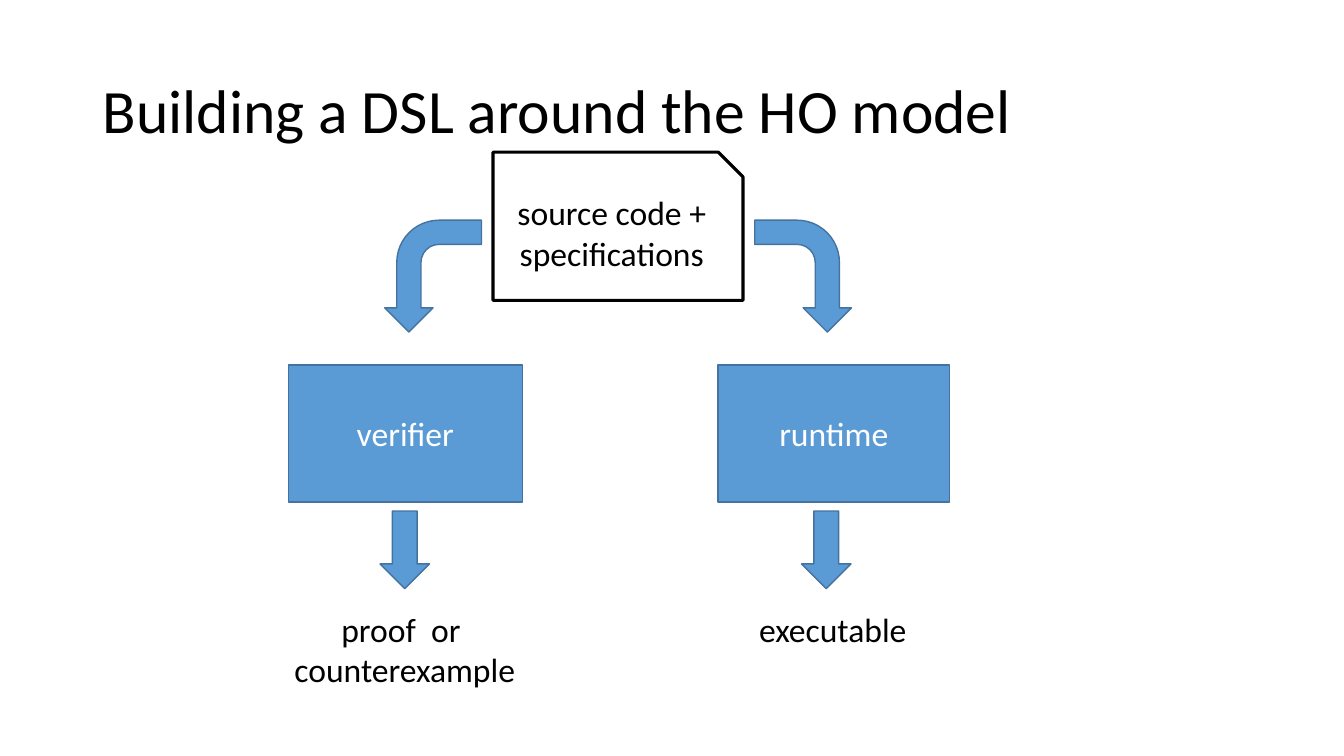
import dataclasses

import pptx
import pptx.dml.color
import pptx.enum.shapes
import pptx.enum.text
import pptx.shapes.autoshape
import pptx.text.text
import pptx.util

Kind = pptx.enum.shapes.MSO_SHAPE
Align = pptx.enum.text.PP_ALIGN
Anchor = pptx.enum.text.MSO_ANCHOR
Fit = pptx.enum.text.MSO_AUTO_SIZE

WIDTH, HEIGHT = pptx.util.Inches(13.33), pptx.util.Inches(7.5)
COLORS = {"ink": "000000", "paper": "FFFFFF", "blue": "5B9BD5", "edge": "43739E"}


@dataclasses.dataclass
class Box:
    """Left, top, width and height in percent of the slide's size."""
    left: float
    top: float
    width: float
    height: float

    def place(self) -> tuple[int, int, int, int]:
        return (int(WIDTH * self.left / 100), int(HEIGHT * self.top / 100),
                int(WIDTH * self.width / 100), int(HEIGHT * self.height / 100))


@dataclasses.dataclass
class Branch:
    """One path from the source code through a tool to its result."""
    tool: str
    tool_box: Box
    bend_left: float
    turn: int
    flip: bool
    arrow_left: float
    result: str
    result_box: Box
    align: Align


BRANCHES = [
    Branch("verifier", Box(21.46, 48.27, 17.4, 18.13), 28.06, 270, True, 28.28,
           "proof  or \ncounterexample", Box(21.08, 79.87, 18.08, 12.13), Align.CENTER),
    Branch("runtime", Box(53.41, 48.27, 17.25, 18.13), 55.59, 90, False, 59.64,
           "executable", Box(55.74, 79.87, 12.6, 6.67), Align.LEFT),
]


def color(name: str) -> pptx.dml.color.RGBColor:
    return pptx.dml.color.RGBColor.from_string(COLORS[name])


def write(frame: pptx.text.text.TextFrame, text: str, ink: str = "ink",
          size: int = 24, align: Align = Align.CENTER) -> None:
    frame.text = text
    for para in frame.paragraphs:
        para.alignment = align
        para.font.name = "Calibri"
        para.font.size = pptx.util.Pt(size)
        para.font.color.rgb = color(ink)


def draw(kind: Kind, box: Box, fill: str = "blue", edge: str = "edge",
         weight: float = 1) -> pptx.shapes.autoshape.Shape:
    shape = slide.shapes.add_shape(kind, *box.place())
    shape.shadow.inherit = False
    shape.fill.solid()
    shape.fill.fore_color.rgb = color(fill)
    shape.line.color.rgb = color(edge)
    shape.line.width = pptx.util.Pt(weight)
    shape.text_frame.vertical_anchor = Anchor.MIDDLE
    return shape


def draw_branch(branch: Branch) -> None:
    # Bent arrow from the source code
    bend = draw(Kind.BENT_ARROW, Box(branch.bend_left, 30.13, 8.33, 12.8))
    bend.rotation = branch.turn
    if branch.flip:
        bend._element.spPr.get_or_add_xfrm().set("flipH", "1")

    # Tool and the arrow below it
    tool = draw(Kind.RECTANGLE, branch.tool_box)
    write(tool.text_frame, branch.tool, "paper")
    draw(Kind.DOWN_ARROW, Box(branch.arrow_left, 67.6, 3.68, 10.27))

    # Result
    label = slide.shapes.add_textbox(*branch.result_box.place())
    label.text_frame.word_wrap = False
    label.text_frame.auto_size = Fit.SHAPE_TO_FIT_TEXT
    write(label.text_frame, branch.result, align=branch.align)


deck = pptx.Presentation()
deck.slide_width, deck.slide_height = WIDTH, HEIGHT
slide = deck.slides.add_slide(deck.slide_layouts.get_by_name("Title Only"))

# Title
title = slide.shapes.title
title.left, title.top, title.width, title.height = Box(6.9, 5.33, 86.27, 19.33).place()
title.text_frame.vertical_anchor = Anchor.MIDDLE
title.text_frame.auto_size = Fit.NONE
write(title.text_frame, "Building a DSL around the HO model", size=44, align=Align.LEFT)
title.text_frame.paragraphs[0].line_spacing = 0.9

# Source code
source = draw(Kind.SNIP_1_RECTANGLE, Box(36.68, 20.13, 18.6, 19.6), "paper", "ink", 2.25)
write(source.text_frame, "source code + specifications")

# Branches
for branch in BRANCHES:
    draw_branch(branch)

deck.save("out.pptx")
